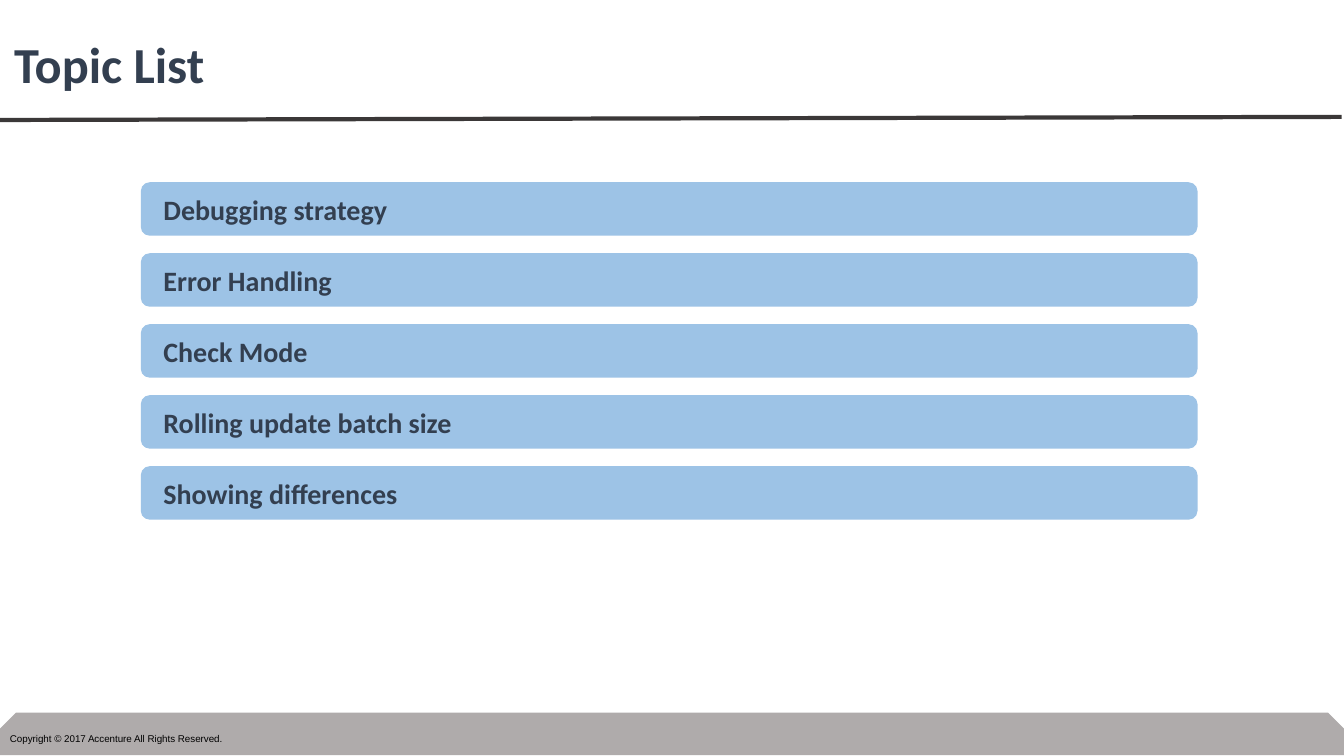
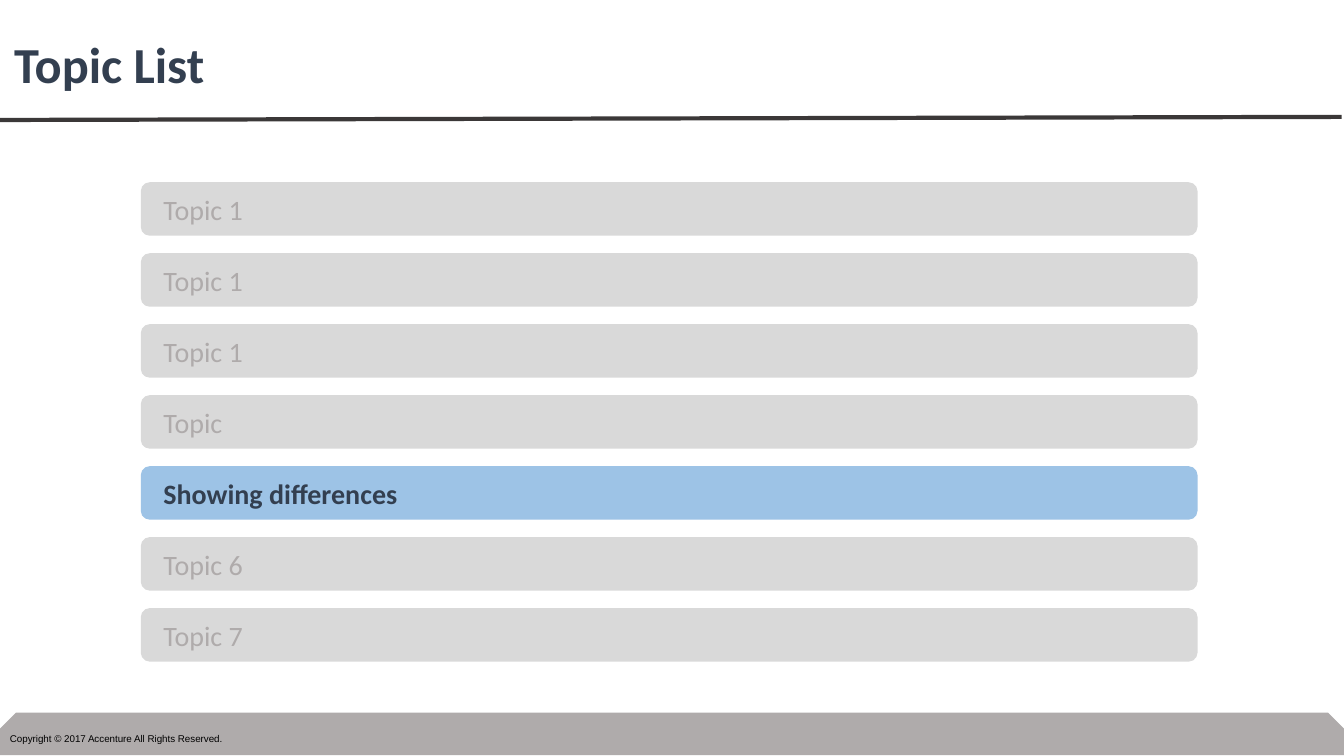
import dataclasses

import lxml.etree
import pptx
import pptx.dml.color
import pptx.enum.shapes
import pptx.enum.text
import pptx.oxml.ns
import pptx.presentation
import pptx.shapes.autoshape
import pptx.slide
import pptx.text.text
import pptx.util

Pt = pptx.util.Pt
MIDDLE = pptx.enum.text.MSO_ANCHOR.MIDDLE
LEFT = pptx.enum.text.PP_ALIGN.LEFT
SHAPES = pptx.enum.shapes.MSO_SHAPE

COLORS = {
    "title": "333F50",
    "rule": "3B3838",
    "band": "AFABAB",
    "footer": "000000",
    "active": "9DC3E6",
    "active_text": "333F50",
    "muted": "D9D9D9",
    "muted_text": "AFABAB",
}

SLIDE_WIDTH, SLIDE_HEIGHT = 960, 540
BAR_LEFT, BAR_TOP = 100.6, 130.2
BAR_WIDTH, BAR_HEIGHT, BAR_PITCH = 754.8, 38.2, 50.7


@dataclasses.dataclass(frozen=True)
class Topic:
    label: str
    active: bool = False


@dataclasses.dataclass(frozen=True)
class TextStyle:
    font: str
    size: float
    color: str
    bold: bool = False


TITLE_STYLE = TextStyle("Calibri", 36, "title", True)
FOOTER_STYLE = TextStyle("Arial", 7, "footer")
ACTIVE_STYLE = TextStyle("Calibri", 20, "active_text", True)
MUTED_STYLE = TextStyle("Calibri", 20, "muted_text")

TOPIC_LISTS = [
    [
        Topic("Debugging strategy", True),
        Topic("Error Handling", True),
        Topic("Check Mode", True),
        Topic("Rolling update batch size", True),
        Topic("Showing differences", True),
    ],
    [
        Topic("Topic 1"),
        Topic("Topic 1"),
        Topic("Topic 1"),
        Topic("Topic"),
        Topic("Showing differences", True),
        Topic("Topic 6"),
        Topic("Topic 7"),
    ],
]


def color(name: str) -> pptx.dml.color.RGBColor:
    return pptx.dml.color.RGBColor.from_string(COLORS[name])


def add_run(paragraph: pptx.text.text._Paragraph, text: str, style: TextStyle) -> None:
    paragraph.alignment = LEFT
    run = paragraph.add_run()
    run.text = text
    run.font.name = style.font
    run.font.size = Pt(style.size)
    run.font.bold = style.bold
    run.font.color.rgb = color(style.color)


def add_filled_shape(
    slide: pptx.slide.Slide,
    kind: pptx.enum.shapes.MSO_SHAPE,
    left: float,
    top: float,
    width: float,
    height: float,
    fill: str,
) -> pptx.shapes.autoshape.Shape:
    shape = slide.shapes.add_shape(kind, Pt(left), Pt(top), Pt(width), Pt(height))
    shape.shadow.inherit = False
    shape.fill.solid()
    shape.fill.fore_color.rgb = color(fill)
    shape.line.fill.background()
    return shape


def add_title(slide: pptx.slide.Slide, text: str) -> None:
    title = slide.shapes.title
    title.left, title.top = Pt(2.9), Pt(25.9)
    title.width, title.height = Pt(SLIDE_WIDTH), Pt(44.6)
    title.text_frame.vertical_anchor = MIDDLE
    paragraph = title.text_frame.paragraphs[0]
    paragraph.line_spacing = 0.9
    add_run(paragraph, text, TITLE_STYLE)


def add_rule(slide: pptx.slide.Slide) -> None:
    rule = slide.shapes.add_connector(
        pptx.enum.shapes.MSO_CONNECTOR.STRAIGHT, Pt(0), Pt(85.7), Pt(958.3), Pt(83.5)
    )
    rule.line.color.rgb = color("rule")
    rule.line.width = Pt(3)
    properties = rule._element.spPr
    lxml.etree.SubElement(properties, pptx.oxml.ns.qn("a:effectLst"))


def add_footer(slide: pptx.slide.Slide) -> None:
    band = add_filled_shape(
        slide, SHAPES.SNIP_2_SAME_RECTANGLE, 0, 509, SLIDE_WIDTH, 30.4, "band"
    )
    band.adjustments[0] = 0.38
    band.adjustments[1] = 0
    box = slide.shapes.add_textbox(Pt(0), Pt(519.8), Pt(180), Pt(15.8))
    box.text_frame.word_wrap = True
    add_run(
        box.text_frame.paragraphs[0],
        "Copyright © 2017 Accenture All Rights Reserved.",
        FOOTER_STYLE,
    )


def add_topic_bar(slide: pptx.slide.Slide, topic: Topic, top: float) -> None:
    bar = add_filled_shape(
        slide,
        SHAPES.ROUNDED_RECTANGLE,
        BAR_LEFT,
        top,
        BAR_WIDTH,
        BAR_HEIGHT,
        "active" if topic.active else "muted",
    )
    bar.text_frame.word_wrap = True
    bar.text_frame.vertical_anchor = MIDDLE
    paragraph = bar.text_frame.paragraphs[0]
    paragraph._p.get_or_add_pPr().set("marL", str(Pt(7.2)))
    add_run(paragraph, topic.label, ACTIVE_STYLE if topic.active else MUTED_STYLE)


def add_topic_slide(
    presentation: pptx.presentation.Presentation, topics: list[Topic]
) -> None:
    slide = presentation.slides.add_slide(presentation.slide_layouts[5])
    add_footer(slide)
    add_rule(slide)
    add_title(slide, "Topic List")
    for index, topic in enumerate(topics):
        add_topic_bar(slide, topic, BAR_TOP + index * BAR_PITCH)


def main() -> None:
    presentation = pptx.Presentation()
    presentation.slide_width = Pt(SLIDE_WIDTH)
    presentation.slide_height = Pt(SLIDE_HEIGHT)
    for topics in TOPIC_LISTS:
        add_topic_slide(presentation, topics)
    presentation.save("out.pptx")


if __name__ == "__main__":
    main()
